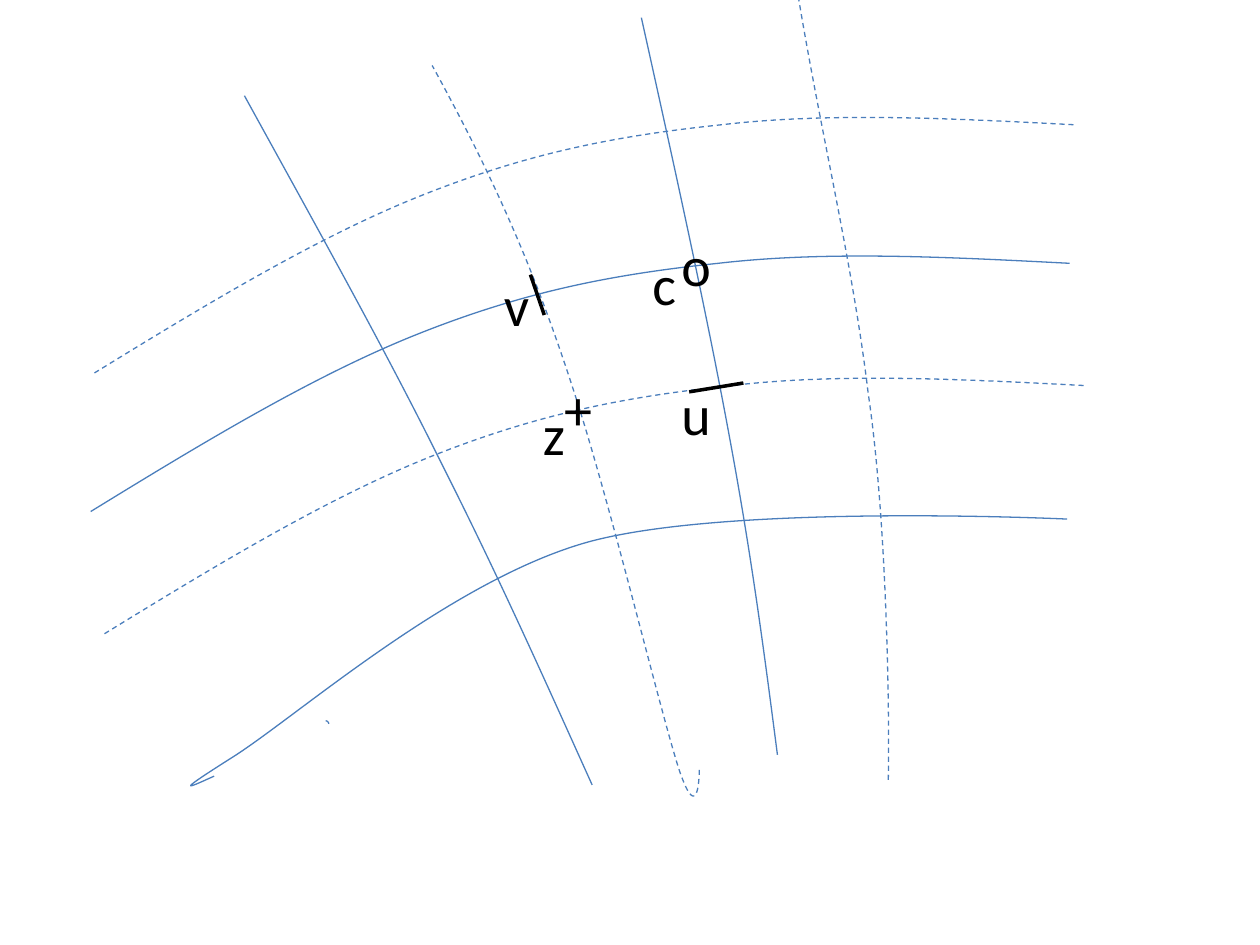
from lxml import etree
from pptx import Presentation
from pptx.dml.color import RGBColor
from pptx.enum import dml, shapes, text
from pptx.oxml.ns import qn
from pptx.util import Inches, Pt

BLUE = RGBColor(0x4B, 0x7E, 0xBC)
BLACK = RGBColor(0, 0, 0)

# Each curve is a start point followed by three points per cubic segment.
ROW = [(0, 2.07), (0.88, 1.53), (1.77, 0.99), (2.6, 0.66),
       (3.43, 0.33), (4.12, 0.19), (4.98, 0.1),
       (5.84, 0), (6.8, 0.05), (7.77, 0.1)]
ROW_PLACES = [(0.75, 0.89, True), (0.72, 1.99, False), (0.83, 2.96, True)]
BOTTOM_ROW = [(1.7, 6.16), (1.52, 6.24), (1.34, 6.33), (1.83, 6.02),
              (2.33, 5.71), (3.54, 4.63), (4.64, 4.31),
              (5.75, 3.99), (8.47, 4.12), (8.47, 4.12)]
COLUMNS = [
    ([(4.7, 6.23), (4.33, 5.41), (3.96, 4.58), (3.5, 3.67),
      (3.05, 2.76), (2.49, 1.76), (1.94, 0.76)], False),
    ([(5.55, 6.11), (5.55, 6.11), (5.55, 6.58), (5.39, 6.11),
      (5.24, 5.64), (4.9, 4.22), (4.61, 3.28),
      (4.3, 2.29), (3.98, 1.52), (3.43, 0.52)], True),
    ([(6.17, 5.99), (6.07, 5.22), (5.97, 4.44), (5.79, 3.47),
      (5.61, 2.49), (5.35, 1.31), (5.09, 0.14)], False),
    ([(7.05, 6.19), (7.06, 5.67), (7.04, 4.13), (6.89, 3.12),
      (6.77, 2.11), (6.52, 1.08), (6.34, 0)], True),
]
FACE_TICKS = [(5.47, 3.11, 5.9, 3.04), (4.21, 2.18, 4.32, 2.5)]
LABELS = [("+", 4.38, 2.92, 0.47), ("o", 5.31, 1.78, 0.24),
          ("z", 4.21, 3.12, 0.39), ("u", 5.31, 2.96, 0.39),
          ("v", 3.9, 2.1, 0.39), ("c", 5.08, 1.93, 0.39)]


def style_outline(sp, dashed=False):
    sp.shadow.inherit = False
    sp.fill.background()
    sp.line.color.rgb = BLUE
    sp.line.width = Pt(0.75)
    if dashed:
        sp.line.dash_style = dml.MSO_LINE.DASH


def add_curve(slide, left, top, points, dashed):
    """Draw the points as a chain of cubic Bezier segments."""
    start, *rest = [(Inches(left + x), Inches(top + y)) for x, y in points]
    builder = slide.shapes.build_freeform(*start)
    builder.add_line_segments(rest, close=False)
    sp = builder.convert_to_shape()
    outline = sp._element.find(".//" + qn("a:path"))
    segments = outline.findall(qn("a:lnTo"))
    for i in range(0, len(segments), 3):
        bezier = etree.SubElement(outline, qn("a:cubicBezTo"))
        for segment in segments[i:i + 3]:
            bezier.append(segment[0])
            outline.remove(segment)
    style_outline(sp, dashed)


def add_grid(slide, left, top):
    for x, y, dashed in ROW_PLACES:
        add_curve(slide, left + x, top + y, ROW, dashed)
    add_curve(slide, left, top, BOTTOM_ROW, False)
    for points, dashed in COLUMNS:
        add_curve(slide, left, top, points, dashed)
    arc = slide.shapes.add_shape(
        shapes.MSO_SHAPE.ARC, Inches(left + 2.56), Inches(top + 5.72),
        Inches(0.05), Inches(0.05))
    style_outline(arc)


def add_face_ticks(slide, left, top):
    for x1, y1, x2, y2 in FACE_TICKS:
        tick = slide.shapes.add_connector(
            shapes.MSO_CONNECTOR.STRAIGHT, Inches(left + x1), Inches(top + y1),
            Inches(left + x2), Inches(top + y2))
        tick.line.color.rgb = BLACK
        tick.line.width = Pt(2)
        etree.SubElement(tick._element.spPr, qn("a:effectLst"))


def add_labels(slide, left, top):
    for label, x, y, width in LABELS:
        box = slide.shapes.add_textbox(
            Inches(left + x), Inches(top + y), Inches(width), Inches(0.64))
        tf = box.text_frame
        tf.word_wrap = True
        tf.auto_size = text.MSO_AUTO_SIZE.SHAPE_TO_FIT_TEXT
        r = tf.paragraphs[0].add_run()
        r.text = label
        r.font.name = "Calibri"
        r.font.size = Pt(32)
        r.font.color.rgb = BLACK


def main():
    prs = Presentation()
    prs.slide_width, prs.slide_height = Inches(10), Inches(7.5)
    slide = prs.slides.add_slide(prs.slide_layouts[6])
    for add_part in (add_grid, add_face_ticks, add_labels):
        add_part(slide, 0, 0)
    prs.save("out.pptx")


if __name__ == "__main__":
    main()
